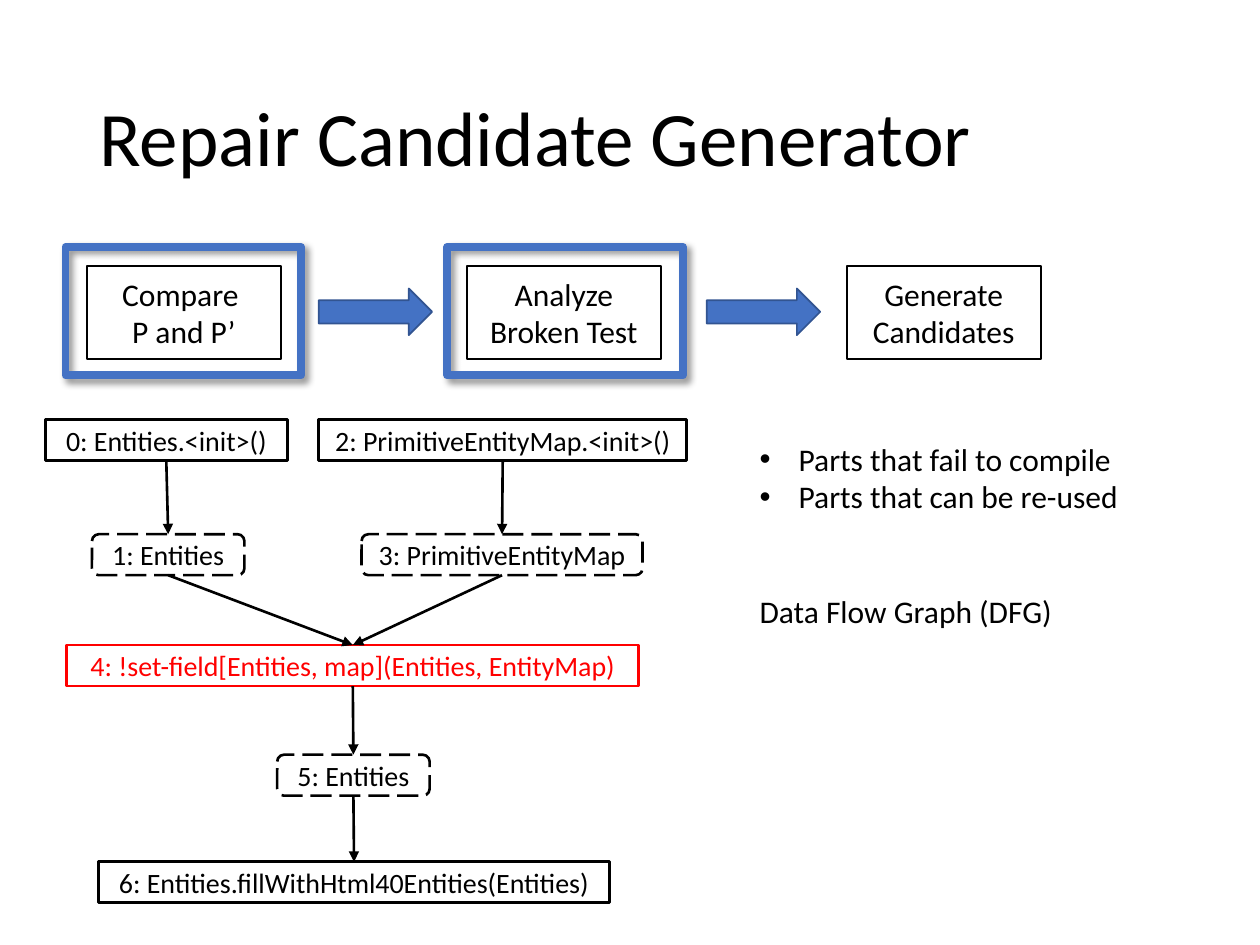
from lxml import etree
from pptx import Presentation
from pptx import util as u
from pptx.dml.color import RGBColor
from pptx.enum import dml, shapes, text
from pptx.oxml import ns

# The slide is a grid of 100 columns by 75 rows.
COL = ROW = u.Inches(0.1)
BLACK, WHITE, RED, BLUE, NAVY = "000000", "FFFFFF", "FF0000", "4472C4", "325491"
RECT = shapes.MSO_SHAPE.RECTANGLE
ROUND = shapes.MSO_SHAPE.ROUNDED_RECTANGLE
ARROW = shapes.MSO_SHAPE.RIGHT_ARROW
BOTTOM, TOP = 2, 0

# number: (label, left, top, width), in columns and rows; odd numbers are data
NODES = {
    0: ("0: Entities.<init>()", 3.6, 33.3, 19.2),
    1: ("1: Entities", 7.3, 42.4, 12.1),
    2: ("2: PrimitiveEntityMap.<init>()", 25.3, 33.3, 29.2),
    3: ("3: PrimitiveEntityMap", 28.7, 42.4, 22.3),
    4: ("4: !set-field[Entities, map](Entities, EntityMap)", 5.3, 51.2, 45.4),
    5: ("5: Entities", 22, 59.9, 12.1),
    6: ("6: Entities.fillWithHtml40Entities(Entities)", 7.8, 68.4, 40.6),
}
EDGES = [(0, 1), (2, 3), (1, 4), (3, 4), (4, 5), (5, 6)]
STEPS = ["Compare \nP and P’", "Analyze\nBroken Test", "Generate\nCandidates"]


def color(hex_string):
    return RGBColor.from_string(hex_string)


def cells(left, top, width, height):
    return [round(n * unit) for n, unit in
            zip((left, top, width, height), (COL, ROW, COL, ROW))]


def set_attrs(target, values):
    for name, value in values.items():
        setattr(target, name, value)


def add_xml(parent, tag, **attrs):
    return etree.SubElement(parent, ns.qn(tag), attrs)


def write(tf, content, size, ink=BLACK, align=text.PP_ALIGN.LEFT):
    tf.text = content
    for p in tf.paragraphs:
        p.alignment = align
        set_attrs(p.font, {"size": u.Pt(size), "name": "Calibri"})
        p.font.color.rgb = color(ink)


def add_shape(s, kind, place, fill=WHITE, line=BLACK, weight=1.0):
    sp = s.shapes.add_shape(kind, *cells(*place))
    sp.shadow.inherit = False
    if fill:
        sp.fill.solid()
        sp.fill.fore_color.rgb = color(fill)
    else:
        sp.fill.background()
    sp.line.color.rgb = color(line)
    sp.line.width = u.Pt(weight)
    return sp


def add_label(sp, content, size, ink=BLACK):
    set_attrs(sp.text_frame, {"vertical_anchor": text.MSO_ANCHOR.MIDDLE,
                              "word_wrap": True, "margin_left": 0,
                              "margin_right": 0})
    write(sp.text_frame, content, size, ink, text.PP_ALIGN.CENTER)


def add_text(s, place, content, size, **frame):
    tf = s.shapes.add_textbox(*cells(*place)).text_frame
    set_attrs(tf, frame)
    write(tf, content, size)
    return tf


def add_frame(s, left):
    """Highlight a finished step with a thick, shadowed outline."""
    sp = add_shape(s, RECT, (left, 19.6, 18.7, 10.2), None, BLUE, 4.5)
    effects = sp._element.spPr.find(ns.qn("a:effectLst"))
    shadow = add_xml(effects, "a:outerShdw", blurRad=str(u.Pt(4)),
                     dist=str(u.Pt(3)), dir="2700000", algn="tl",
                     rotWithShape="0")
    ink = add_xml(shadow, "a:srgbClr", val=BLACK)
    add_xml(ink, "a:alpha", val="40000")


def add_node(s, number):
    label, left, top, width = NODES[number]
    is_data = number % 2 == 1
    ink = RED if number == 4 else BLACK
    sp = add_shape(s, ROUND if is_data else RECT, (left, top, width, 3.25),
                   line=ink, weight=1.5)
    if is_data:
        sp.line.dash_style = dml.MSO_LINE.LONG_DASH
    add_label(sp, label, 16, ink)
    return sp


def add_edge(s, source, target):
    cx = s.shapes.add_connector(shapes.MSO_CONNECTOR.STRAIGHT, 0, 0, 0, 0)
    cx.begin_connect(source, BOTTOM)
    cx.end_connect(target, TOP)
    cx.line.color.rgb = color(BLACK)
    cx.line.width = u.Pt(1.5)
    add_xml(cx.line._get_or_add_ln(), "a:tailEnd", type="triangle")
    add_xml(cx._element.spPr, "a:effectLst")


def add_bullet(p):
    pPr = p._p.get_or_add_pPr()
    set_indent = {"marL": u.Inches(0.31), "indent": -u.Inches(0.31)}
    for name, value in set_indent.items():
        pPr.set(name, str(value))
    add_xml(pPr, "a:buFont", typeface="Arial")
    add_xml(pPr, "a:buChar", char="•")


def add_steps(s):
    for i, label in enumerate(STEPS):
        sp = add_shape(s, RECT, (6.9 + 30.15 * i, 21.1, 15.4, 7.4))
        add_label(sp, label, 18)
    for left in (25.3, 56.1):
        add_shape(s, ARROW, (left, 22.9, 9, 3.7), BLUE, NAVY)
    for left in (5.2, 35.5):
        add_frame(s, left)


def add_graph(s):
    nodes = {number: add_node(s, number) for number in NODES}
    for source, target in EDGES:
        add_edge(s, nodes[source], nodes[target])


def add_notes(s):
    tf = add_text(s, (59.3, 34.4, 31.2, 16.2),
                  "Parts that fail to compile\nParts that can be re-used\n"
                  "Data Flow Graph (DFG)", 18, word_wrap=False)
    *bullets, caption = tf.paragraphs
    for p in bullets:
        add_bullet(p)
    caption.space_before = u.Pt(44)


def main():
    prs = Presentation()
    set_attrs(prs, {"slide_width": 100 * COL, "slide_height": 75 * ROW})
    s = prs.slides.add_slide(prs.slide_layouts[6])
    title = add_text(s, (6.9, 4, 86.2, 14.5), "Repair Candidate Generator", 44,
                     word_wrap=True, vertical_anchor=text.MSO_ANCHOR.MIDDLE)
    title.paragraphs[0].line_spacing = 0.9
    add_steps(s)
    add_graph(s)
    add_notes(s)
    prs.save("out.pptx")


if __name__ == "__main__":
    main()
